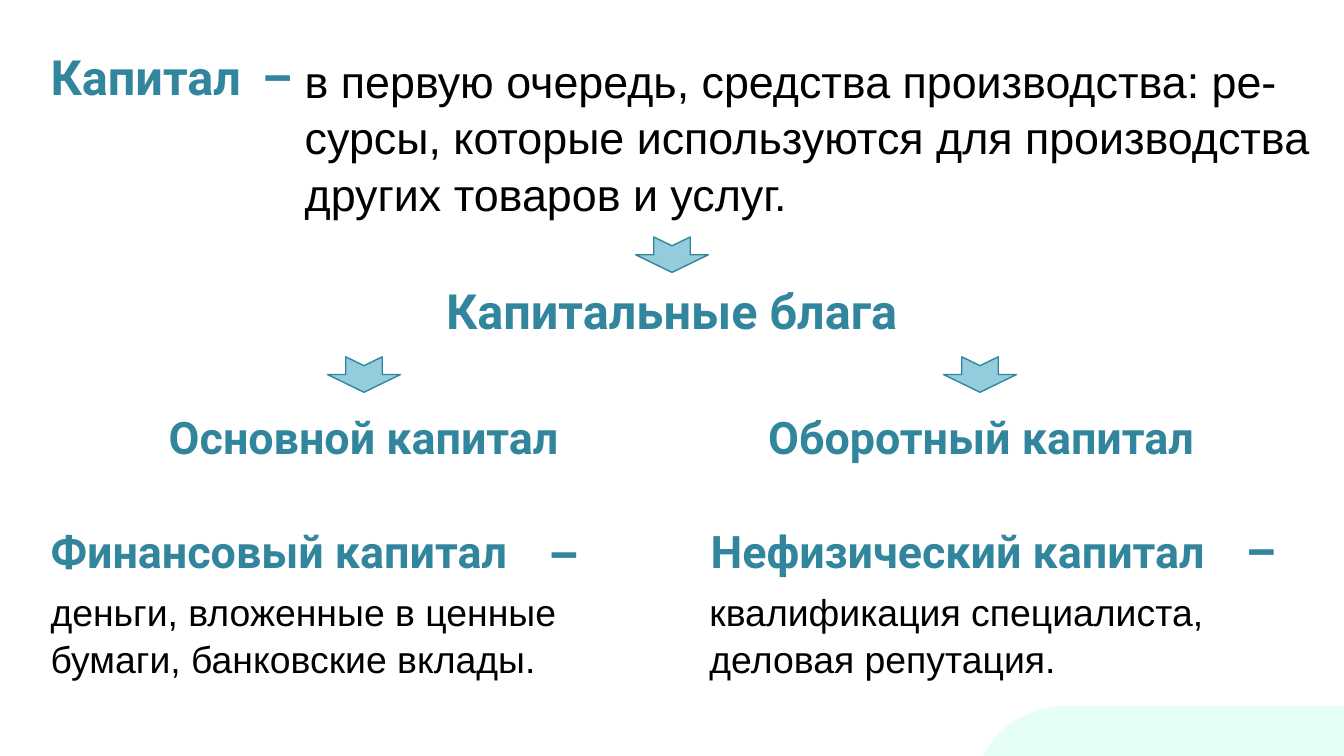
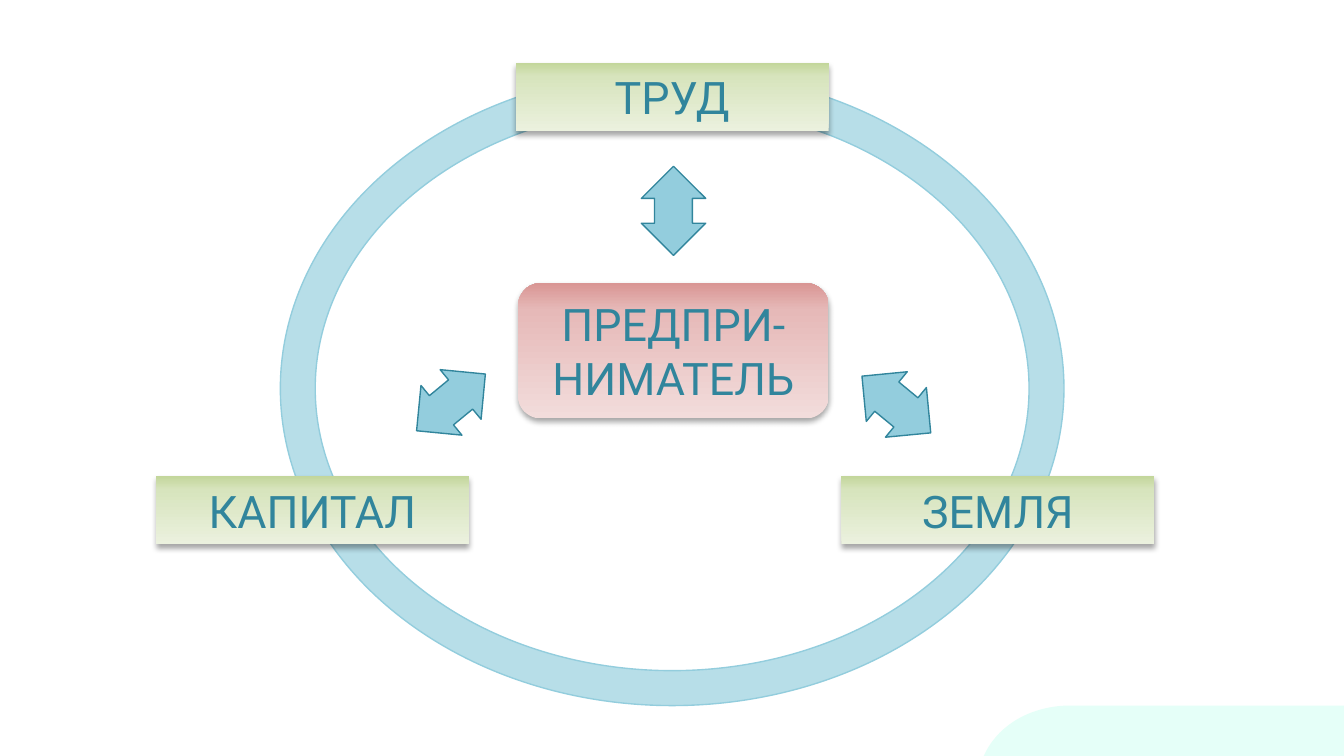
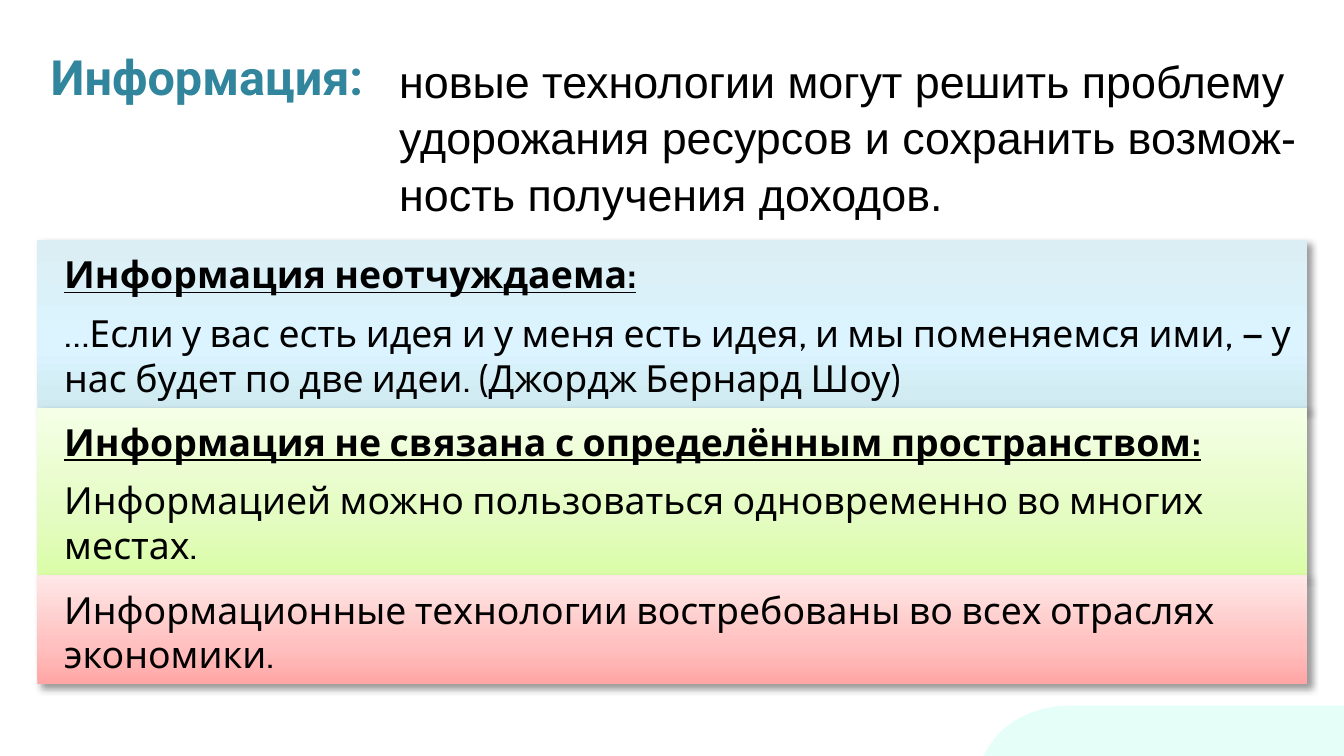
import pptx
import pptx.util
import pptx.dml.color
import pptx.enum.shapes
import pptx.enum.text
import pptx.oxml
import pptx.oxml.ns

Pt = pptx.util.Pt
RGB = pptx.dml.color.RGBColor
MSO = pptx.enum.shapes.MSO_SHAPE
ANCHOR = pptx.enum.text.MSO_ANCHOR
ALIGN = pptx.enum.text.PP_ALIGN
qn = pptx.oxml.ns.qn

# Colours
TEAL = RGB(0x31, 0x85, 0x9C)
DARK_TEAL = RGB(0x21, 0x59, 0x68)
SKY = RGB(0x93, 0xCD, 0xDD)
PALE_SKY = RGB(0xB7, 0xDE, 0xE8)
MINT = RGB(0xE5, 0xFF, 0xF8)
BLACK = RGB(0, 0, 0)

# Gradients run from bottom to top: (position in percent, colour)
GREEN = [(0, RGB(0xEB, 0xF1, 0xDE)), (80, RGB(0xD7, 0xE4, 0xBD)), (100, RGB(0xC3, 0xD6, 0x9B))]
ROSE = [(0, RGB(0xF2, 0xDC, 0xDB)), (80, RGB(0xE6, 0xB9, 0xB8)), (100, RGB(0xD9, 0x96, 0x94))]
AQUA = [(0, RGB(0xCE, 0xE9, 0xF0)), (35, RGB(0xDB, 0xF4, 0xFF)), (100, RGB(0xDB, 0xEE, 0xF4))]
LIME = [(0, RGB(0xDA, 0xFD, 0xA7)), (35, RGB(0xE4, 0xFC, 0xC2)), (100, RGB(0xF5, 0xFF, 0xE7))]
CORAL = [(0, RGB(0xFF, 0xA6, 0xA5)), (35, RGB(0xFF, 0xC0, 0xBF)), (100, RGB(0xFF, 0xE7, 0xE7))]

# Shadows: opacity in percent, blur, distance, direction in degrees
LABEL_SHADOW = (35, 3.1, 1.8, 90)
BAND_SHADOW = (40, 4, 3, 45)


def xml(markup):
    return pptx.oxml.parse_xml(markup.replace(">", f" {pptx.oxml.ns.nsdecls('a')}>", 1))


def add_text(p, text, font="Arial", size=24, color=BLACK, bold=False,
             underline=False, outline=None, align=None, spacing=None, before=None):
    """Add one formatted run to paragraph p."""
    if align is not None:
        p.alignment = align
    if spacing is not None:
        p.line_spacing = spacing
    if before is not None:
        p.space_before = Pt(before)
    r = p.add_run()
    r.text = text
    r.font.name, r.font.size = font, Pt(size)
    r.font.bold, r.font.underline = bold, underline
    r.font.color.rgb = color
    if outline is not None:
        r.font._element.insert(0, xml(
            f'<a:ln w="{Pt(0.75)}"><a:solidFill><a:srgbClr val="{outline}"/></a:solidFill></a:ln>'))


class Deck:
    def __init__(self):
        self.prs = pptx.Presentation()
        self.prs.slide_width, self.prs.slide_height = Pt(720), Pt(405)
        self.s = None

    def new_slide(self):
        self.s = self.prs.slides.add_slide(self.prs.slide_layouts[6])
        self.corner()

    def corner(self):
        """Mint shape in the lower right corner, with a Bezier-rounded left end."""
        curve = [(527, 405), (535.7, 385.9), (555.8, 378), (573, 378)]
        steps = 24
        points = []
        for i in range(steps + 1):
            t = i / steps
            weights = ((1 - t) ** 3, 3 * t * (1 - t) ** 2, 3 * t * t * (1 - t), t ** 3)
            points.append(tuple(Pt(sum(w * c[k] for w, c in zip(weights, curve))) for k in (0, 1)))
        points += [(Pt(720), Pt(378)), (Pt(720), Pt(405))]
        fb = self.s.shapes.build_freeform(*points[0])
        fb.add_line_segments(points[1:], close=True)
        sp = fb.convert_to_shape()
        sp.shadow.inherit = False
        sp.fill.solid()
        sp.fill.fore_color.rgb = MINT
        sp.line.fill.background()

    def text(self, x, y, w, h, *lines, **style):
        tf = self.s.shapes.add_textbox(Pt(x), Pt(y), Pt(w), Pt(h)).text_frame
        tf.word_wrap = True
        tf.auto_size = pptx.enum.text.MSO_AUTO_SIZE.SHAPE_TO_FIT_TEXT
        for i, line in enumerate(lines):
            add_text(tf.add_paragraph() if i else tf.paragraphs[0], line, **style)

    def heading(self, x, y, w, text, size=26, align=None):
        self.text(x, y, w, 39 if size == 26 else 36, text, font="Roboto", size=size,
                  color=TEAL, bold=True, outline=DARK_TEAL, align=align)

    def body(self, x, y, w, h, *lines, size=24):
        self.text(x, y, w, h, *lines, size=size, spacing=1.05)

    def shape(self, kind, x, y, w, h, fill=SKY, line=TEAL, rotation=0, adj=()):
        sp = self.s.shapes.add_shape(kind, Pt(x), Pt(y), Pt(w), Pt(h))
        sp.shadow.inherit = False
        sp.rotation = rotation
        for i, value in enumerate(adj):
            sp.adjustments[i] = value
        sp.fill.solid()
        sp.fill.fore_color.rgb = fill
        sp.line.color.rgb = line
        sp.line.width = Pt(0.75)
        return sp

    def panel(self, kind, x, y, w, h, stops, shadow):
        """Shape with a vertical gradient, no line and a soft shadow."""
        sp = self.s.shapes.add_shape(kind, Pt(x), Pt(y), Pt(w), Pt(h))
        sp.line.fill.background()
        sp.fill.gradient()
        sp.fill.gradient_angle = 90
        spPr = sp._element.spPr
        gs_list = spPr.find(".//" + qn("a:gsLst"))
        for gs in list(gs_list):
            gs_list.remove(gs)
        for pos, color in stops:
            gs_list.append(xml(f'<a:gs pos="{pos * 1000}"><a:srgbClr val="{color}"/></a:gs>'))
        sp.shadow.inherit = False
        alpha, blur, dist, angle = shadow
        spPr.find(qn("a:effectLst")).append(xml(
            f'<a:outerShdw blurRad="{Pt(blur)}" dist="{Pt(dist)}" dir="{angle * 60000}" '
            f'algn="tl" rotWithShape="0"><a:srgbClr val="000000">'
            f'<a:alpha val="{alpha * 1000}"/></a:srgbClr></a:outerShdw>'))
        sp.text_frame.word_wrap = True
        return sp

    def label(self, x, y, w, h, text, kind=MSO.RECTANGLE, stops=GREEN):
        tf = self.panel(kind, x, y, w, h, stops, LABEL_SHADOW).text_frame
        tf.vertical_anchor = ANCHOR.MIDDLE
        add_text(tf.paragraphs[0], text, font="Roboto", color=TEAL,
                 outline=DARK_TEAL, align=ALIGN.CENTER)

    def band(self, y, h, stops, text, title=None):
        tf = self.panel(MSO.RECTANGLE, 20, y, 680.4, h, stops, BAND_SHADOW).text_frame
        tf.vertical_anchor = ANCHOR.TOP
        tf.margin_left, tf.margin_top = Pt(14.4), Pt(6)
        style = dict(font="Cabin", size=20, align=ALIGN.LEFT)
        p = tf.paragraphs[0]
        if title:
            add_text(p, title, bold=True, underline=True, **style)
            p = tf.add_paragraph()
            style["before"] = 7.3
        add_text(p, text, **style)

    def down_arrow(self, cx, cy):
        w, h = 19, 39
        self.shape(MSO.NOTCHED_RIGHT_ARROW, cx - w / 2, cy - h / 2, w, h, rotation=90)

    def double_arrow(self, cx, cy, rotation=0):
        w, h = 34.5, 47.8
        self.shape(MSO.UP_DOWN_ARROW, cx - w / 2, cy - h / 2, w, h,
                   rotation=rotation, adj=(0.5, 0.588))


def capital_slide(d):
    d.new_slide()
    # Definition
    d.heading(20, 21.6, 130, "Капитал")
    d.heading(133.2, 21.6, 39.6, "–")
    d.body(156.2, 23.8, 561.6, 94.3,
           "в первую очередь, средства производства: ре-",
           "сурсы, которые используются для производства",
           "других товаров и услуг.")
    # Capital goods and their two kinds
    d.heading(183, 146.9, 354, "Капитальные блага", align=ALIGN.CENTER)
    for cx, cy in ((195, 200.7), (525, 200.7), (360, 136.5)):
        d.down_arrow(cx, cy)
    d.heading(70.6, 216, 248.4, "Основной капитал", size=24, align=ALIGN.CENTER)
    d.heading(384.5, 216, 282.2, "Оборотный капитал", size=24, align=ALIGN.CENTER)
    # Other forms of capital
    d.heading(20, 277.2, 272, "Финансовый капитал", size=24)
    d.heading(373.7, 277.2, 296, "Нефизический капитал", size=24)
    d.heading(286.6, 277.2, 39.6, "–")
    d.heading(660.2, 275.8, 39.6, "–")
    d.body(20, 311, 319.7, 55.4, "деньги, вложенные в ценные",
           "бумаги, банковские вклады.", size=20)
    d.body(373, 311, 304.6, 55.4, "квалификация специалиста,",
           "деловая репутация.", size=20)


def factors_slide(d):
    d.new_slide()
    d.shape(MSO.DONUT, 150.2, 38.2, 419.8, 339.8, fill=PALE_SKY, line=SKY, adj=(0.055,))
    # Factors on the ring
    for x, y, text in ((276.2, 33.8, "ТРУД"), (450.7, 255.2, "ЗЕМЛЯ"), (83.5, 255.2, "КАПИТАЛ")):
        d.label(x, y, 167.8, 36.4, text)
    # Entrepreneur in the centre
    d.label(277.6, 151.7, 166.3, 72.5, "ПРЕДПРИ-НИМАТЕЛЬ",
            kind=MSO.ROUNDED_RECTANGLE, stops=ROSE)
    d.double_arrow(360.8, 113)
    d.double_arrow(480.2, 216.7, 309.5)
    d.double_arrow(241.6, 215.6, 50.5)


def information_slide(d):
    d.new_slide()
    # Definition
    d.heading(20, 21.6, 193, "Информация:")
    d.body(206.8, 23.8, 504.7, 94.3,
           "новые технологии могут решить проблему",
           "удорожания ресурсов и сохранить возмож-",
           "ность получения доходов.")
    # Properties of information
    d.band(128.7, 89.8, AQUA,
           "…Если у вас есть идея и у меня есть идея, и мы поменяемся ими, — "
           "у нас будет по две идеи. (Джордж Бернард Шоу)",
           title="Информация неотчуждаема:")
    d.band(218.5, 89.8, LIME,
           "Информацией можно пользоваться одновременно во многих местах.",
           title="Информация не связана с определённым пространством:")
    d.band(308.3, 58.2, CORAL,
           "Информационные технологии востребованы во всех отраслях экономики.")


def main():
    d = Deck()
    capital_slide(d)
    factors_slide(d)
    information_slide(d)
    d.prs.save("out.pptx")


if __name__ == "__main__":
    main()
